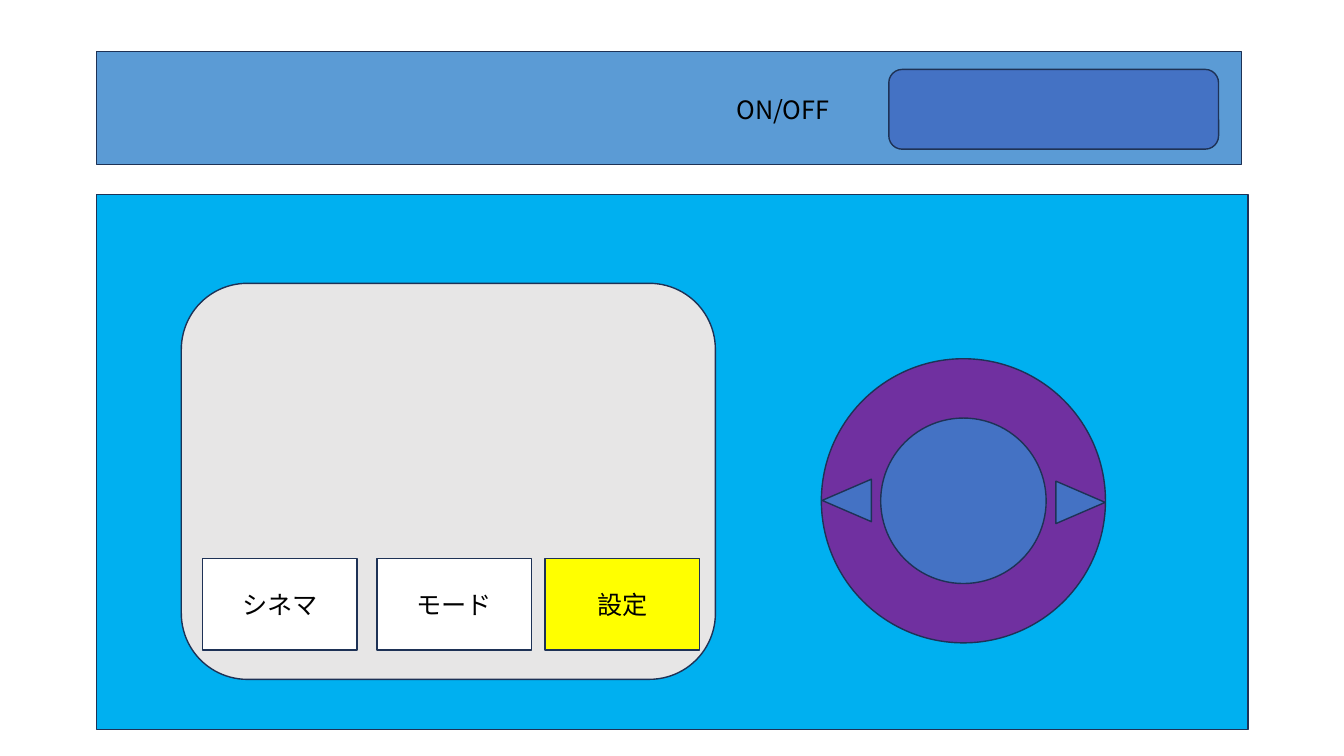
"""Build a slide with the control panel of a device: power bar, screen and dial."""
from lxml.etree import SubElement
from pptx import Presentation
from pptx.dml.color import RGBColor
from pptx.enum.shapes import MSO_SHAPE
from pptx.enum.text import MSO_ANCHOR, PP_ALIGN
from pptx.oxml.ns import qn
from pptx.util import Cm, Pt

COLORS = {
    "panel": "00B0F0", "screen": "E7E6E6", "ring": "7030A0", "control": "4472C4",
    "bar": "5B9BD5", "key": "FFFFFF", "selected": "FFFF00",
    "outline": "1E3256", "text": "000000",
}
FONT = "Noto Sans CJK JP"

PANEL = (2.44, 4.9, 29.01, 13.49)
SCREEN = (4.57, 7.14, 13.46, 9.98)
POWER_BAR = (2.44, 1.3, 28.85, 2.84)
POWER_BUTTON = (22.4, 1.75, 8.31, 2.01)
POWER_LABEL = ("ON/OFF", (18.31, 2.24, 3.38, 1.02))

DIAL_CENTER = (24.28, 12.62)
DIAL_DISCS = [("ring", 7.16), ("control", 4.17)]
ARROW_SIZE = (1.07, 1.24)
ARROWS = [(21.34, 12.61, 270), (27.23, 12.66, 90)]

KEY_TOP, KEY_SIZE = 14.07, (3.89, 2.31)
KEYS = [("シネマ", 5.11, "key"), ("モード", 9.5, "key"), ("設定", 13.74, "selected")]


def centered(x, y, width, height):
    return x - width / 2, y - height / 2, width, height


def add_part(slide, kind, box, color, rotation=0):
    shape = slide.shapes.add_shape(kind, *map(Cm, box))
    shape.rotation = rotation
    shape.shadow.inherit = False
    shape.fill.solid()
    shape.fill.fore_color.rgb = RGBColor.from_string(COLORS[color])
    shape.line.color.rgb = RGBColor.from_string(COLORS["outline"])
    shape.line.width = Pt(1)
    return shape


def write(shape, text, align=PP_ALIGN.CENTER, anchor=MSO_ANCHOR.MIDDLE, size=18):
    frame = shape.text_frame
    frame.word_wrap = True
    frame.vertical_anchor = anchor
    paragraph = frame.paragraphs[0]
    paragraph.alignment = align
    run = paragraph.add_run()
    run.text = text
    run.font.size = Pt(size)
    run.font.color.rgb = RGBColor.from_string(COLORS["text"])
    run.font.name = FONT
    SubElement(run.font._element, qn("a:ea"), typeface=FONT)


def main():
    presentation = Presentation()
    presentation.slide_width, presentation.slide_height = Cm(33.87), Cm(19.05)
    slide = presentation.slides.add_slide(presentation.slide_layouts[6])

    add_part(slide, MSO_SHAPE.RECTANGLE, PANEL, "panel")
    add_part(slide, MSO_SHAPE.ROUNDED_RECTANGLE, SCREEN, "screen")
    for color, diameter in DIAL_DISCS:
        box = centered(*DIAL_CENTER, diameter, diameter)
        add_part(slide, MSO_SHAPE.OVAL, box, color)
    for x, y, rotation in ARROWS:
        box = centered(x, y, *ARROW_SIZE)
        add_part(slide, MSO_SHAPE.ISOSCELES_TRIANGLE, box, "control", rotation)

    add_part(slide, MSO_SHAPE.RECTANGLE, POWER_BAR, "bar")
    add_part(slide, MSO_SHAPE.ROUNDED_RECTANGLE, POWER_BUTTON, "control")
    for text, left, color in KEYS:
        key = add_part(slide, MSO_SHAPE.RECTANGLE, (left, KEY_TOP, *KEY_SIZE), color)
        write(key, text)

    text, box = POWER_LABEL
    label = slide.shapes.add_textbox(*map(Cm, box))
    write(label, text, align=PP_ALIGN.LEFT, anchor=MSO_ANCHOR.TOP)
    presentation.save("out.pptx")


if __name__ == "__main__":
    main()
